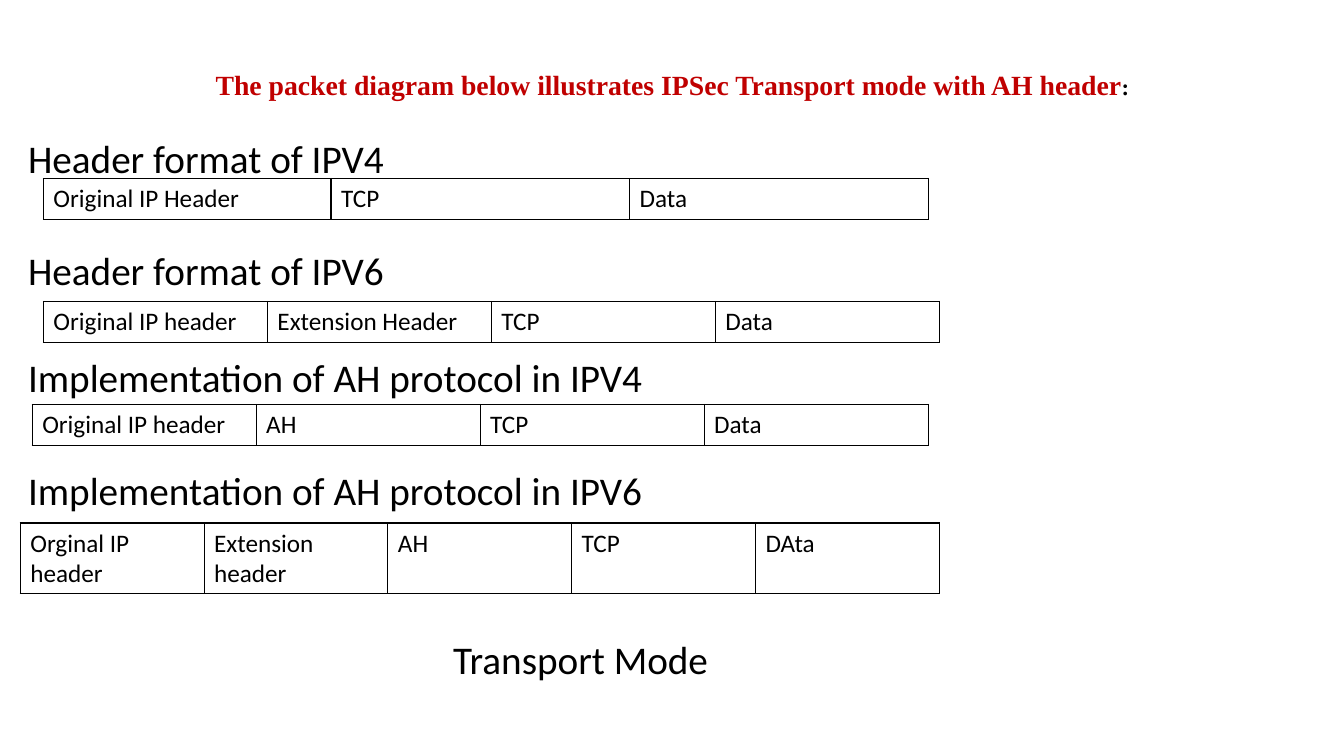
from dataclasses import dataclass

from lxml import etree
from pptx import Presentation
from pptx import util as u
from pptx.dml.color import RGBColor
from pptx.enum import text
from pptx.oxml import ns


@dataclass(frozen=True)
class Theme:
    ink: str = "000000"
    accent: str = "C00000"
    body_font: str = "Calibri"
    title_font: str = "Times New Roman"
    title_size: float = 19.8
    colon_size: float = 16.2
    heading_size: float = 28
    field_size: float = 18
    border: float = 1


THEME = Theme()
HEADING_LEFT, HEADING_WIDTH, HEADING_HEIGHT = 13, 883, 38


def add_run(paragraph, words, size, font=THEME.body_font, color=THEME.ink, bold=False):
    run = paragraph.add_run()
    run.text = words
    run.font.size = u.Pt(size)
    run.font.name = font
    run.font.bold = bold
    run.font.color.rgb = RGBColor.from_string(color)
    return run


def add_line(slide, box, anchor=text.MSO_ANCHOR.TOP):
    """Add a wrapping text box and return its paragraph."""
    frame = slide.shapes.add_textbox(*map(u.Pt, box)).text_frame
    frame.word_wrap = True
    frame.vertical_anchor = anchor
    line = frame.paragraphs[0]
    line.line_spacing = 0.9
    return line


def add_title(slide, box):
    title = add_line(slide, box, text.MSO_ANCHOR.MIDDLE)
    title.alignment = text.PP_ALIGN.CENTER
    for words, size, color in (
        ("The packet diagram below illustrates IPSec Transport mode with ",
         THEME.title_size, THEME.accent),
        ("AH ", THEME.title_size, THEME.accent),
        ("header", THEME.title_size, THEME.accent),
        (":", THEME.colon_size, THEME.ink),
    ):
        add_run(title, words, size, THEME.title_font, color, bold=True)


def add_heading(slide, box, words):
    add_run(add_line(slide, box), words, THEME.heading_size)


def outline_cell(cell):
    properties = cell._tc.get_or_add_tcPr()
    # Borders must precede the fill in the cell properties
    for position, side in enumerate(("a:lnL", "a:lnR", "a:lnT", "a:lnB")):
        border = etree.Element(ns.qn(side), w=str(u.Pt(THEME.border)))
        fill = etree.SubElement(border, ns.qn("a:solidFill"))
        etree.SubElement(fill, ns.qn("a:srgbClr"), val=THEME.ink)
        properties.insert(position, border)


def add_packet(slide, box, fields, first_width=None):
    """Add one row of fields; those after the first share the width equally."""
    left, top, width, height = box
    first_width = first_width or width / len(fields)
    other_width = (width - first_width) / (len(fields) - 1)
    packet = slide.shapes.add_table(1, len(fields), *map(u.Pt, box)).table
    packet.first_row = packet.horz_banding = False
    for index, field in enumerate(fields):
        packet.columns[index].width = u.Pt(other_width if index else first_width)
        cell = packet.cell(0, index)
        cell.fill.background()
        outline_cell(cell)
        add_run(cell.text_frame.paragraphs[0], field, THEME.field_size)


# Heading, heading top, packet box, fields, width of the first field
PACKETS = (
    ("Header format of IPV4", 96, (31, 127.5, 632, 29.2),
     ("Original IP Header", "TCP", "Data"), 205.5),
    ("Header format of IPV6", 176, (31, 215.4, 640, 29.2),
     ("Original IP header", "Extension Header", "TCP", "Data"), None),
    ("Implementation of AH protocol in IPV4", 252.5, (23, 289, 640, 29.2),
     ("Original IP header", "AH", "TCP", "Data"), None),
    ("Implementation of AH protocol in IPV6", 333.5, (14.5, 373.6, 656.5, 50.5),
     ("Orginal IP header", "Extension header", "AH", "TCP", "DAta"), None),
)


def build_transport_mode(presentation):
    slide = presentation.slides.add_slide(presentation.slide_layouts[6])
    # Title
    add_title(slide, (70.5, 38, 819.5, 47))
    # Packet formats
    for heading, top, box, fields, first_width in PACKETS:
        add_heading(slide, (HEADING_LEFT, top, HEADING_WIDTH, HEADING_HEIGHT), heading)
        add_packet(slide, box, fields, first_width)
    # Caption
    add_heading(slide, (316.5, 454, 250, HEADING_HEIGHT), "Transport Mode")


presentation = Presentation()
presentation.slide_width, presentation.slide_height = u.Pt(960), u.Pt(540)
build_transport_mode(presentation)
presentation.save("out.pptx")
